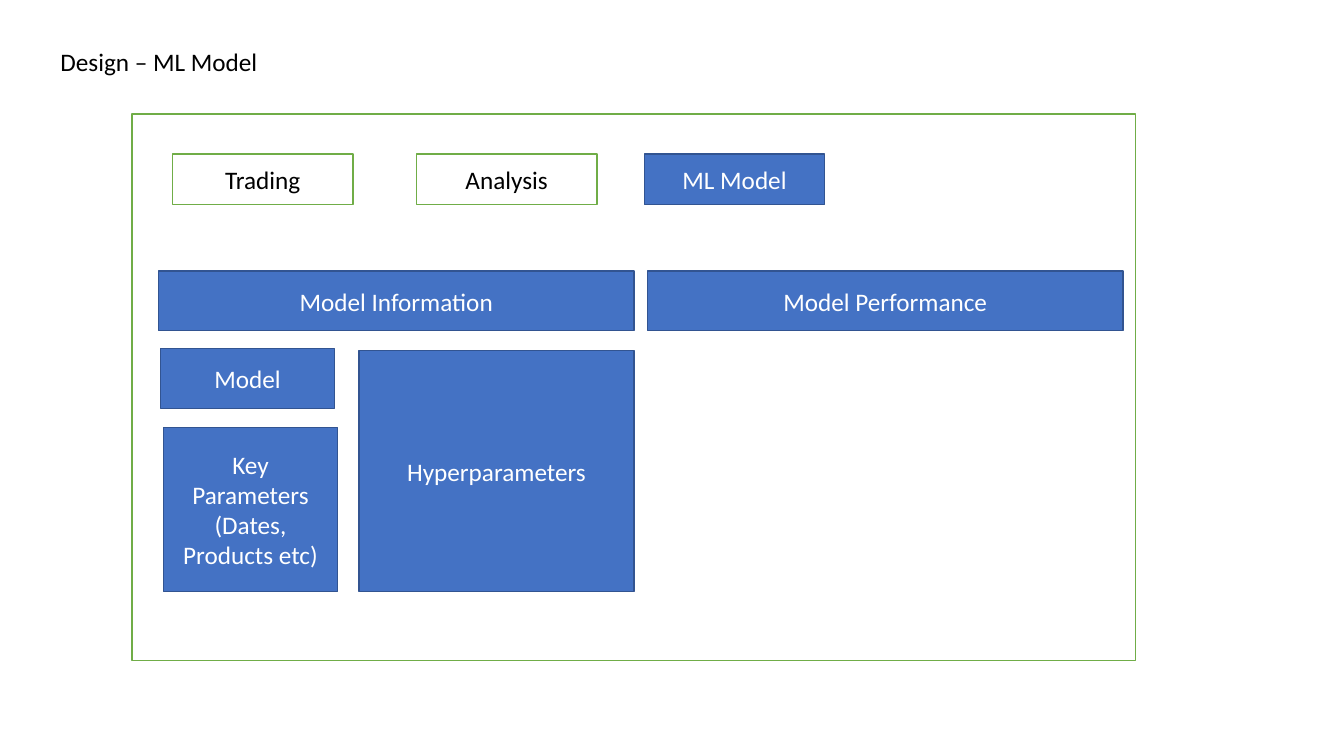
from pptx import Presentation
from pptx.dml.color import RGBColor
from pptx.enum import shapes, text
from pptx.util import Inches, Pt

WHITE = RGBColor(0xFF, 0xFF, 0xFF)
BLACK = RGBColor(0x00, 0x00, 0x00)
GREEN = RGBColor(0x70, 0xAD, 0x47)
BLUE = RGBColor(0x44, 0x72, 0xC4)
DARK_BLUE = RGBColor(0x32, 0x54, 0x91)

OUTLINED = (WHITE, GREEN, BLACK)
FILLED = (BLUE, DARK_BLUE, WHITE)


def write_text(shape, words, color, align=text.PP_ALIGN.CENTER,
               anchor=text.MSO_ANCHOR.MIDDLE):
    frame = shape.text_frame
    frame.word_wrap = True
    frame.vertical_anchor = anchor
    paragraph = frame.paragraphs[0]
    paragraph.alignment = align
    run = paragraph.add_run()
    run.text = words
    run.font.name = "Calibri"
    run.font.size = Pt(18)
    run.font.color.rgb = color


def add_box(slide, left, top, width, height, style, words=None):
    fill, line, color = style
    box = slide.shapes.add_shape(
        shapes.MSO_SHAPE.RECTANGLE,
        Inches(left), Inches(top), Inches(width), Inches(height))
    box.shadow.inherit = False
    box.fill.solid()
    box.fill.fore_color.rgb = fill
    box.line.color.rgb = line
    box.line.width = Pt(1)
    if words:
        write_text(box, words, color)


presentation = Presentation()
presentation.slide_width = Inches(13.33)
presentation.slide_height = Inches(7.5)
slide = presentation.slides.add_slide(presentation.slide_layouts[5])

# Title
title = slide.shapes.title
title.left, title.top = Inches(0.5), Inches(0.41)
title.width, title.height = Inches(4.32), Inches(0.4)
write_text(title, "Design – ML Model", BLACK,
           align=text.PP_ALIGN.LEFT, anchor=text.MSO_ANCHOR.TOP)
title.text_frame.auto_size = text.MSO_AUTO_SIZE.SHAPE_TO_FIT_TEXT

# Screen frame
add_box(slide, 1.31, 1.13, 9.95, 5.42, OUTLINED)

# Tabs, with the active one filled
for left, label, style in [(1.71, "Trading", OUTLINED),
                           (4.13, "Analysis", OUTLINED),
                           (6.39, "ML Model", FILLED)]:
    add_box(slide, left, 1.53, 1.79, 0.5, style, label)

# Section headers
for left, label in [(1.57, "Model Information"), (6.42, "Model Performance")]:
    add_box(slide, left, 2.69, 4.72, 0.59, FILLED, label)

# Model information panels
for left, top, width, height, label in [
        (1.59, 3.46, 1.73, 0.59, "Model"),
        (3.56, 3.48, 2.73, 2.39, "Hyperparameters"),
        (1.62, 4.24, 1.73, 1.63, "Key Parameters (Dates, Products etc)")]:
    add_box(slide, left, top, width, height, FILLED, label)

presentation.save("out.pptx")
